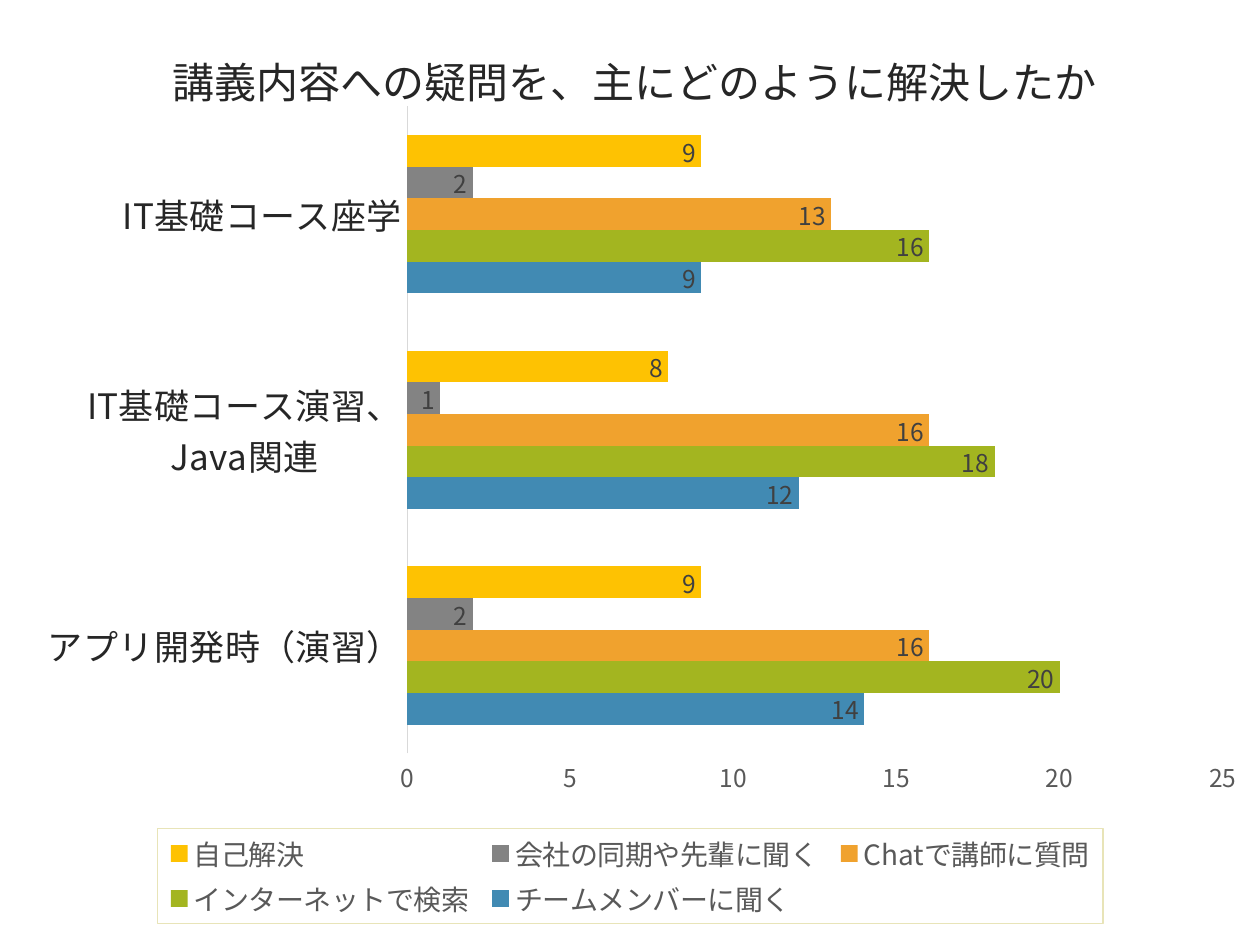
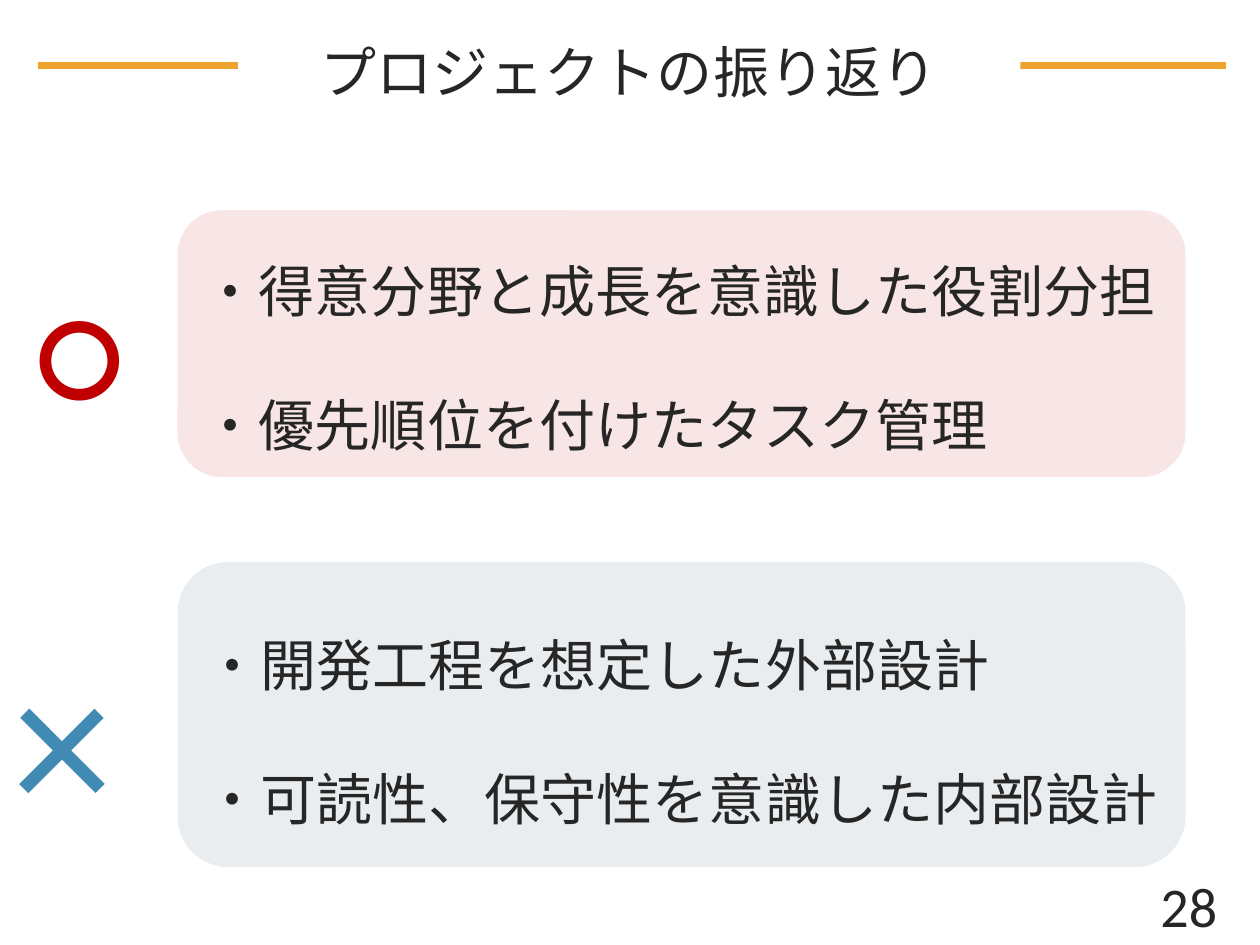
from pptx import Presentation, util as u
from pptx.chart.data import CategoryChartData
from pptx.dml.color import RGBColor
from pptx.enum import chart as ch, shapes, text
from pptx.oxml import parse_xml
from pptx.oxml.ns import nsdecls, qn

WHITE = RGBColor(0xFF, 0xFF, 0xFF)
BLACK = RGBColor(0x00, 0x00, 0x00)
INK = RGBColor(0x26, 0x26, 0x26)
LABEL_GREY = RGBColor(0x40, 0x40, 0x40)
AXIS_GREY = RGBColor(0x59, 0x59, 0x59)
AXIS_LINE = RGBColor(0xD9, 0xD9, 0xD9)
LEGEND_LINE = "E8E4B8"
RED = RGBColor(0xC0, 0x00, 0x00)
PALE_BLUE = RGBColor(0xB8, 0xC5, 0xCD)
BLUE = RGBColor(0x41, 0x8A, 0xB3)
GREEN = RGBColor(0xA3, 0xB5, 0x20)
ORANGE = RGBColor(0xF0, 0xA2, 0x2E)
GREY = RGBColor(0x83, 0x83, 0x83)
YELLOW = RGBColor(0xFE, 0xC2, 0x02)

JAPANESE = "Noto Sans CJK JP"
LATIN = "Calibri"
ALIGN = text.PP_ALIGN
ANCHOR = text.MSO_ANCHOR


def style_font(font, size, color, name=JAPANESE):
    font.size, font.name, font.bold = u.Pt(size), name, False
    font.color.rgb = color


def add_east_asian_fonts(element):
    """Use each Latin typeface for East Asian characters as well."""
    for latin in list(element.iter(qn("a:latin"))):
        latin.addnext(parse_xml(
            f'<a:ea {nsdecls("a")} typeface="{latin.get("typeface")}"/>'))


def write(shape, lines, size=32, color=INK, font=JAPANESE, align=ALIGN.LEFT,
          anchor=ANCHOR.TOP, spacings=None):
    """Fill a shape with one paragraph per line."""
    frame = shape.text_frame
    frame.word_wrap = True
    frame.vertical_anchor = anchor
    frame.text = "\n".join(lines)
    for index, paragraph in enumerate(frame.paragraphs):
        paragraph.alignment = align
        if spacings:
            paragraph.line_spacing = spacings[index]
        for run in paragraph.runs:
            style_font(run.font, size, color, font)
    add_east_asian_fonts(shape.element)


def place(part, x, y, w=None, h=None, inner=False):
    """Put a chart part at fractions of the chart area."""
    for old in part.findall(qn("c:layout")):
        part.remove(old)
    target = '<c:layoutTarget val="inner"/>' if inner else ""
    sizes = "" if w is None else f'<c:w val="{w}"/><c:h val="{h}"/>'
    layout = parse_xml(
        f'<c:layout {nsdecls("c")}><c:manualLayout>{target}'
        '<c:xMode val="edge"/><c:yMode val="edge"/>'
        f'<c:x val="{x}"/><c:y val="{y}"/>{sizes}</c:manualLayout></c:layout>')
    part.insert(0 if inner else 1, layout)


class Deck:
    def __init__(self):
        self.prs = Presentation()
        self.prs.slide_width, self.prs.slide_height = u.Cm(25.4), u.Cm(19.05)
        self.slide = None

    def new_slide(self):
        self.slide = self.prs.slides.add_slide(self.prs.slide_layouts[6])

    def text_box(self, box, content, **style):
        shape = self.slide.shapes.add_textbox(*map(u.Cm, box))
        write(shape, [content], **style)

    def panel(self, preset, box, lines, fill, opacity=100, **style):
        shape = self.slide.shapes.add_shape(preset, *map(u.Cm, box))
        shape.shadow.inherit = False
        shape.fill.solid()
        shape.fill.fore_color.rgb = fill
        shape.line.fill.background()
        if opacity < 100:
            tint = shape.element.spPr.find(f".//{qn('a:srgbClr')}")
            tint.append(parse_xml(
                f'<a:alpha {nsdecls("a")} val="{opacity * 1000}"/>'))
        write(shape, lines, **style)

    def rule(self, left, right, y):
        line = self.slide.shapes.add_connector(
            shapes.MSO_CONNECTOR.STRAIGHT, *map(u.Cm, (left, y, right, y)))
        line.line.color.rgb = ORANGE
        line.line.width = u.Pt(4.5)
        line.element.spPr.append(parse_xml(f'<a:effectLst {nsdecls("a")}/>'))

    def title(self, content):
        self.rule(0.76, 24.71, 1.32)
        self.panel(shapes.MSO_SHAPE.RECTANGLE, (4.8, 0.61, 15.77, 1.63), [content],
                   WHITE, align=ALIGN.CENTER, anchor=ANCHOR.MIDDLE)

    def page_number(self, number):
        self.text_box((18.69, 15.16, 6.1, 3.89), str(number), font=LATIN,
                      align=ALIGN.RIGHT, anchor=ANCHOR.BOTTOM)

    def bar_chart(self, box, title, categories, answers):
        """Draw clustered bars; answers holds (name, color, values)."""
        data = CategoryChartData()
        data.categories = categories
        for name, _, values in answers:
            data.add_series(name, values)
        chart = self.slide.shapes.add_chart(
            ch.XL_CHART_TYPE.BAR_CLUSTERED, *map(u.Cm, box), data).chart
        style_font(chart.font, 14, BLACK)

        chart.has_title = True
        heading = chart.chart_title.text_frame
        heading.text = title
        style_font(heading.paragraphs[0].runs[0].font, 24, INK)

        plot = chart.plots[0]
        plot.gap_width, plot.overlap = 182, 0
        plot.vary_by_categories = False
        for series, (_, color, _) in zip(plot.series, answers):
            series.format.fill.solid()
            series.format.fill.fore_color.rgb = color
            labels = series.data_labels
            labels.show_value = True
            labels.position = ch.XL_LABEL_POSITION.INSIDE_END
            style_font(labels.font, 14, LABEL_GREY)

        self.style_axes(chart)
        self.style_legend(chart)
        place(chart.element.xpath("./c:chart/c:title")[0], 0.12, 0.04)
        place(chart.element.xpath("./c:chart/c:plotArea")[0],
              0.318, 0.115, 0.666, 0.7, inner=True)
        add_east_asian_fonts(chart.element)

    def style_axes(self, chart):
        for axis, size, color in ((chart.category_axis, 20, INK),
                                  (chart.value_axis, 14, AXIS_GREY)):
            axis.has_major_gridlines = False
            axis.major_tick_mark = axis.minor_tick_mark = ch.XL_TICK_MARK.NONE
            style_font(axis.tick_labels.font, size, color)
        chart.category_axis.format.line.color.rgb = AXIS_LINE
        chart.category_axis.format.line.width = u.Pt(0.75)
        counts = chart.value_axis
        counts.minimum_scale, counts.maximum_scale, counts.major_unit = 0, 25, 5
        counts.format.line.fill.background()

    def style_legend(self, chart):
        chart.has_legend = True
        chart.legend.position = ch.XL_LEGEND_POSITION.BOTTOM
        chart.legend.include_in_layout = False
        style_font(chart.legend.font, 16, AXIS_GREY)
        legend = chart.element.xpath("./c:chart/c:legend")[0]
        place(legend, 0.114, 0.896, 0.772, 0.103)
        legend.find(qn("c:txPr")).addprevious(parse_xml(
            f'<c:spPr {nsdecls("c", "a")}><a:ln w="9525"><a:solidFill>'
            f'<a:srgbClr val="{LEGEND_LINE}"/></a:solidFill></a:ln></c:spPr>'))


def questions_slide(deck):
    deck.new_slide()
    deck.bar_chart(
        (0.36, 0, 24.69, 18.64),
        "講義内容への疑問を、主にどのように解決したか",
        ["アプリ開発時（演習）", "IT基礎コース演習、Java関連", "IT基礎コース座学"],
        [("チームメンバーに聞く", BLUE, (14, 12, 9)),
         ("インターネットで検索", GREEN, (20, 18, 16)),
         ("Chatで講師に質問", ORANGE, (16, 16, 13)),
         ("会社の同期や先輩に聞く", GREY, (2, 1, 2)),
         ("自己解決", YELLOW, (9, 8, 9))])


def review_slide(deck):
    deck.new_slide()
    deck.page_number(28)
    rounded = shapes.MSO_SHAPE.ROUNDED_RECTANGLE
    deck.panel(rounded, (3.58, 4.24, 20.32, 5.38),
               ["・得意分野と成長を意識した役割分担", "・優先順位を付けたタスク管理"],
               RED, opacity=10, anchor=ANCHOR.BOTTOM, spacings=(2.0, 2.0))
    deck.panel(rounded, (3.58, 11.33, 20.32, 6.15),
               ["・開発工程を想定した外部設計", "・可読性、保守性を意識した内部設計"],
               PALE_BLUE, opacity=30, anchor=ANCHOR.MIDDLE, spacings=(1.5, 2.0))
    deck.title("プロジェクトの振り返り")
    deck.text_box((0.51, 5, 5.56, 4.01), "○", size=88, color=RED, font=LATIN)
    deck.text_box((0, 12.24, 5.56, 5.18), "×", size=115, color=BLUE, font=LATIN)


def main():
    deck = Deck()
    questions_slide(deck)
    review_slide(deck)
    deck.prs.save("out.pptx")


if __name__ == "__main__":
    main()
